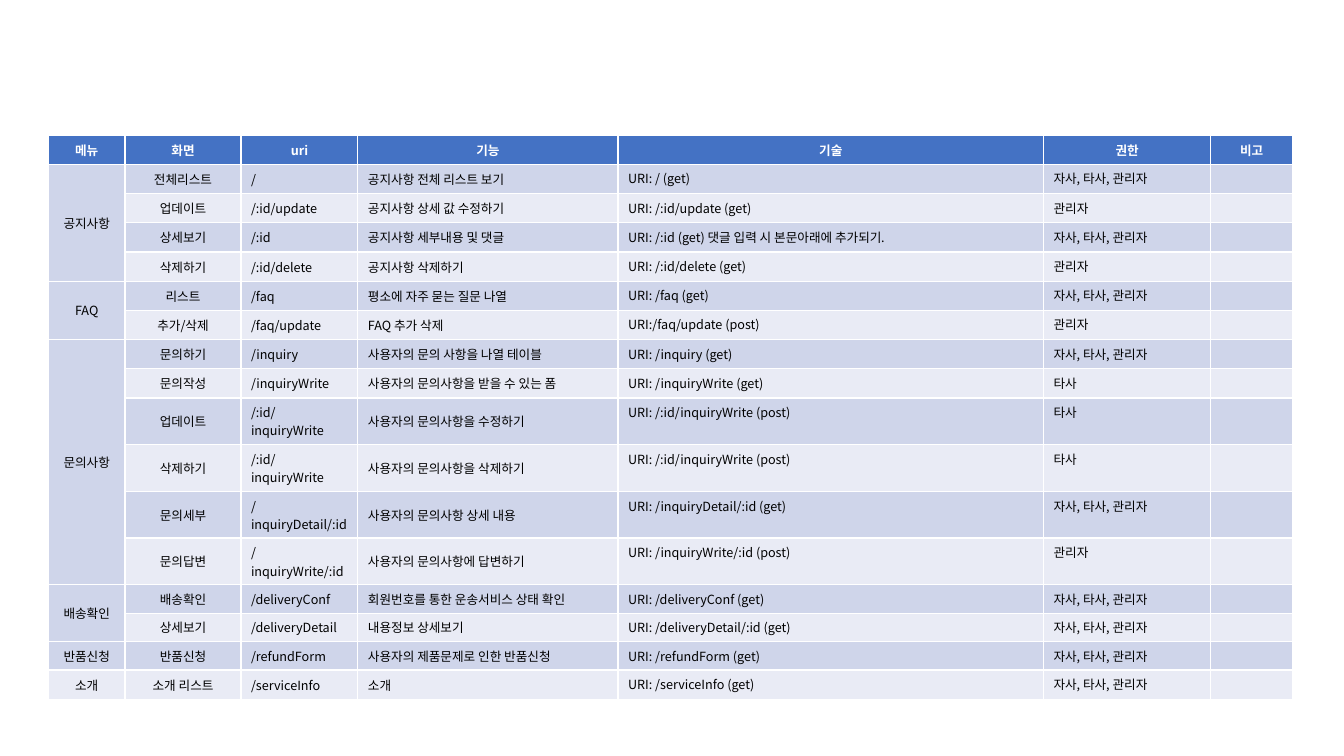
"""Build the slide with the table of menus, routes and permissions."""
from lxml.etree import SubElement
from pptx import Presentation
from pptx.dml.color import RGBColor as RGB
from pptx.enum.text import MSO_ANCHOR as ANCHOR, PP_ALIGN as ALIGN
from pptx.oxml.ns import qn
from pptx.util import Inches, Pt

COLORS = {"header": "4472C4", "dark": "CFD5EA", "light": "E9EBF5",
          "white": "FFFFFF", "black": "000000"}
WIDTHS = [0.76, 1.15, 1.16, 2.58, 4.22, 1.66, 0.81]
HEADER = ["메뉴", "화면", "uri", "기능", "기술", "권한", "비고"]
EVERYONE, ADMIN, PARTNER = "자사, 타사, 관리자", "관리자", "타사"
MENUS = {
    "공지사항": [
        ("전체리스트", "/", "공지사항 전체 리스트 보기", "URI: / (get)", EVERYONE),
        ("업데이트", "/:id/update", "공지사항 상세 값 수정하기", "URI: /:id/update (get)", ADMIN),
        ("상세보기", "/:id", "공지사항 세부내용 및 댓글",
         "URI: /:id (get) 댓글 입력 시 본문아래에 추가되기.", EVERYONE),
        ("삭제하기", "/:id/delete", "공지사항 삭제하기", "URI: /:id/delete (get)", ADMIN),
    ],
    "FAQ": [
        ("리스트", "/faq", "평소에 자주 묻는 질문 나열", "URI: /faq (get)", EVERYONE),
        ("추가/삭제", "/faq/update", "FAQ 추가 삭제", "URI:/faq/update (post)", ADMIN),
    ],
    "문의사항": [
        ("문의하기", "/inquiry", "사용자의 문의 사항을 나열 테이블", "URI: /inquiry (get)", EVERYONE),
        ("문의작성", "/inquiryWrite", "사용자의 문의사항을 받을 수 있는 폼",
         "URI: /inquiryWrite (get)", PARTNER),
        ("업데이트", "/:id/inquiryWrite", "사용자의 문의사항을 수정하기",
         "URI: /:id/inquiryWrite (post)", PARTNER),
        ("삭제하기", "/:id/inquiryWrite", "사용자의 문의사항을 삭제하기",
         "URI: /:id/inquiryWrite (post)", PARTNER),
        ("문의세부", "/inquiryDetail/:id", "사용자의 문의사항 상세 내용",
         "URI: /inquiryDetail/:id (get)", EVERYONE),
        ("문의답변", "/inquiryWrite/:id", "사용자의 문의사항에 답변하기",
         "URI: /inquiryWrite/:id (post)", ADMIN),
    ],
    "배송확인": [
        ("배송확인", "/deliveryConf", "회원번호를 통한 운송서비스 상태 확인",
         "URI: /deliveryConf (get)", EVERYONE),
        ("상세보기", "/deliveryDetail", "내용정보 상세보기",
         "URI: /deliveryDetail/:id (get)", EVERYONE),
    ],
    "반품신청": [
        ("반품신청", "/refundForm", "사용자의 제품문제로 인한 반품신청",
         "URI: /refundForm (get)", EVERYONE),
    ],
    "소개": [
        ("소개 리스트", "/serviceInfo", "소개", "URI: /serviceInfo (get)", EVERYONE),
    ],
}


class Deck:
    """Holds the text style and the current slide."""

    def __init__(self, prs, font, size):
        self.font, self.size = font, Pt(size)
        self.slide = prs.slides.add_slide(prs.slide_layouts[6])

    def table(self, left, top, widths, heights):
        frame = self.slide.shapes.add_table(
            len(heights), len(widths), Inches(left), Inches(top),
            Inches(sum(widths)), Inches(sum(heights)))
        for column, width in zip(frame.table.columns, widths):
            column.width = Inches(width)
        for row, height in zip(frame.table.rows, heights):
            row.height = Inches(height)
        return frame.table

    def cell(self, cell, text, fill, color="black", bold=False,
             align=ALIGN.LEFT, anchor=ANCHOR.MIDDLE):
        cell.fill.solid()
        cell.fill.fore_color.rgb = RGB.from_string(COLORS[fill])
        cell.vertical_anchor = anchor
        p = cell.text_frame.paragraphs[0]
        p.text, p.alignment = text, align
        p.font.name, p.font.size, p.font.bold = self.font, self.size, bold
        p.font.color.rgb = RGB.from_string(COLORS[color])
        SubElement(p._p.pPr.find(qn("a:defRPr")), qn("a:ea"), typeface=self.font)
        if not text:
            SubElement(p._p, qn("a:endParaRPr"), sz=str(int(self.size.pt * 100)))


def main():
    prs = Presentation()
    prs.slide_width, prs.slide_height = Inches(13.33), Inches(7.5)
    deck = Deck(prs, "Noto Sans CJK KR", 9)
    heights = [0.29] * 13 + [0.28, 0.28, 0.25, 0.29]
    table = deck.table(0.48, 1.34, WIDTHS, heights)

    for col, title in enumerate(HEADER):
        deck.cell(table.cell(0, col), title, "header", "white", True, ALIGN.CENTER)

    row = 1
    for menu, screens in MENUS.items():
        first = table.cell(row, 0)
        if len(screens) > 1:
            first.merge(table.cell(row + len(screens) - 1, 0))
        deck.cell(first, menu, "dark" if row % 2 else "light", align=ALIGN.CENTER)
        for screen in screens:
            fill = "dark" if row % 2 else "light"
            for col, text in enumerate((*screen, ""), 1):
                deck.cell(table.cell(row, col), text, fill,
                          align=ALIGN.CENTER if col == 1 else ALIGN.LEFT,
                          anchor=ANCHOR.TOP if col > 3 else ANCHOR.MIDDLE)
            row += 1
    prs.save("out.pptx")


if __name__ == "__main__":
    main()
